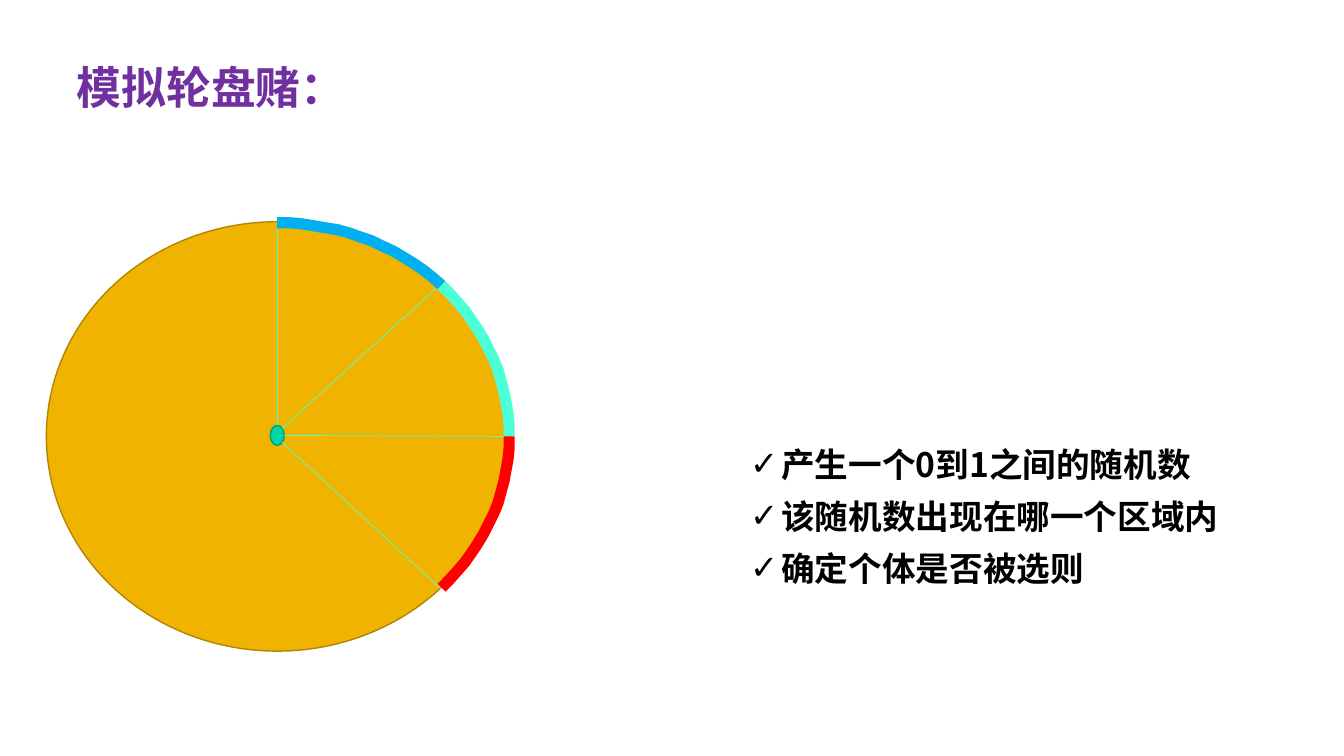
from dataclasses import dataclass
from math import cos, radians, sin

from lxml.etree import SubElement
from pptx import Presentation
from pptx.dml.color import RGBColor
from pptx.enum.shapes import MSO_CONNECTOR, MSO_SHAPE
from pptx.enum.text import MSO_ANCHOR, MSO_AUTO_SIZE, PP_ALIGN
from pptx.oxml.ns import qn
from pptx.util import Pt

PX = 9144


@dataclass(frozen=True)
class Theme:
    font: str = "Noto Sans CJK SC"
    title: str = "7030A0"
    body: str = "000000"
    wheel: str = "F0B400"
    wheel_edge: str = "B28500"
    hub: str = "00D5A5"
    hub_edge: str = "009E7A"
    mint: str = "4DFFD7"
    blue: str = "00B0F0"
    red: str = "FF0000"
    title_size: int = 32
    body_size: int = 24
    edge_width: float = 1
    spoke_width: float = 0.5
    arc_width: float = 8


@dataclass(frozen=True)
class Ellipse:
    center_x: int
    center_y: int
    radius_x: int
    radius_y: int

    def bounds(self):
        return (self.center_x - self.radius_x, self.center_y - self.radius_y,
                2 * self.radius_x, 2 * self.radius_y)

    def rim_point(self, degrees):
        angle = radians(degrees)
        return (round(self.center_x + self.radius_x * sin(angle)),
                round(self.center_y - self.radius_y * cos(angle)))


THEME = Theme()
WHEEL = Ellipse(275, 433, 229, 213)
HUB = Ellipse(275, 432, 7, 10)
ARC_RIM = Ellipse(275, 433, 230, 212)
SECTOR = 45
ARC_STEP = 3
ARC_COLORS = [THEME.blue, THEME.mint, THEME.red]

TITLE = "模拟轮盘赌："
STEPS = ["产生一个0到1之间的随机数", "该随机数出现在哪一个区域内", "确定个体是否被选则"]
STEP_INDENT = 31


def assign(target, values):
    for name, value in values.items():
        setattr(target, name, value)


def to_emu(lengths):
    return [length * PX for length in lengths]


def prepare_text_box(box, bounds):
    assign(box, dict(zip(("left", "top", "width", "height"), to_emu(bounds))))
    assign(box.text_frame, {
        "word_wrap": True,
        "auto_size": MSO_AUTO_SIZE.NONE,
        "vertical_anchor": MSO_ANCHOR.TOP,
    })
    return box.text_frame


def set_line(shape, color, width):
    shape.line.color.rgb = RGBColor.from_string(color)
    shape.line.width = Pt(width)


def write(para, text, size, color):
    span = para.add_run()
    span.text = text
    assign(span.font, {"name": THEME.font, "size": Pt(size), "bold": True})
    span.font.color.rgb = RGBColor.from_string(color)
    SubElement(span.font._element, qn("a:ea"), typeface=THEME.font)


def add_title(page):
    frame = prepare_text_box(page.shapes.title, (66, 60, 961, 73))
    para = frame.paragraphs[0]
    assign(para, {"alignment": PP_ALIGN.LEFT, "line_spacing": 0.9})
    write(para, TITLE, THEME.title_size, THEME.title)


def add_check_mark(para):
    properties = para._p.get_or_add_pPr()
    properties.set("marL", str(STEP_INDENT * PX))
    properties.set("indent", str(-STEP_INDENT * PX))
    SubElement(properties, qn("a:buChar"), char="✓")


def add_steps(page):
    frame = prepare_text_box(page.placeholders[1], (734, 423, 572, 167))
    for index, step in enumerate(STEPS):
        para = frame.add_paragraph() if index else frame.paragraphs[0]
        assign(para, {"line_spacing": 1.3, "space_before": Pt(0), "space_after": Pt(0)})
        add_check_mark(para)
        write(para, step, THEME.body_size, THEME.body)


def add_disc(group, ellipse, fill, edge):
    disc = group.shapes.add_shape(MSO_SHAPE.OVAL, *to_emu(ellipse.bounds()))
    disc.shadow.inherit = False
    disc.fill.solid()
    disc.fill.fore_color.rgb = RGBColor.from_string(fill)
    set_line(disc, edge, THEME.edge_width)


def add_spoke(group, degrees):
    ends = HUB.rim_point(degrees) + WHEEL.rim_point(degrees)
    spoke = group.shapes.add_connector(MSO_CONNECTOR.STRAIGHT, *to_emu(ends))
    set_line(spoke, THEME.mint, THEME.spoke_width)
    SubElement(spoke._element.spPr, qn("a:effectLst"))


def add_arc(group, start, end, color):
    points = [ARC_RIM.rim_point(degrees) for degrees in range(start, end + 1, ARC_STEP)]
    builder = group.shapes.build_freeform(*points[0], scale=PX)
    builder.add_line_segments(points[1:], close=False)
    arc = builder.convert_to_shape()
    arc.shadow.inherit = False
    arc.fill.background()
    set_line(arc, color, THEME.arc_width)


def add_wheel(page):
    group = page.shapes.add_group_shape()
    add_disc(group, WHEEL, THEME.wheel, THEME.wheel_edge)
    add_disc(group, HUB, THEME.hub, THEME.hub_edge)
    for boundary in range(len(ARC_COLORS) + 1):
        add_spoke(group, boundary * SECTOR)
    for sector, color in enumerate(ARC_COLORS):
        add_arc(group, sector * SECTOR, (sector + 1) * SECTOR, color)


def main():
    deck = Presentation()
    assign(deck, {"slide_width": 1333 * PX, "slide_height": 750 * PX})
    page = deck.slides.add_slide(deck.slide_layouts[1])
    add_title(page)
    add_wheel(page)
    add_steps(page)
    deck.save("out.pptx")


if __name__ == "__main__":
    main()
